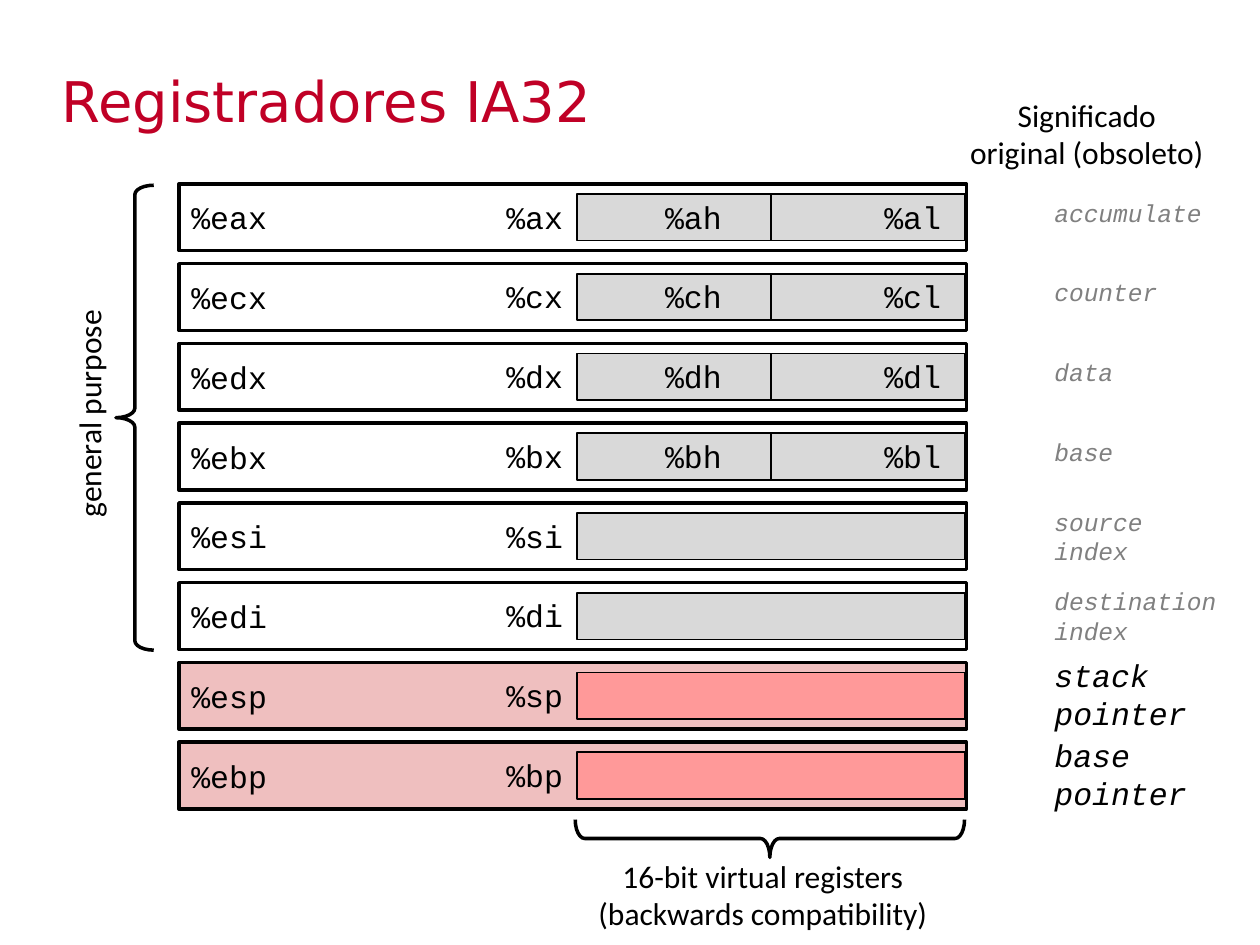
from dataclasses import dataclass

from lxml import etree
from pptx import Presentation
from pptx.dml.color import RGBColor
from pptx.enum.shapes import MSO_CONNECTOR, MSO_SHAPE
from pptx.enum.text import MSO_ANCHOR, MSO_AUTO_SIZE, PP_ALIGN
from pptx.oxml.ns import qn
from pptx.util import Inches, Pt

RECTANGLE = MSO_SHAPE.RECTANGLE
BRACE = MSO_SHAPE.RIGHT_BRACE
STRAIGHT = MSO_CONNECTOR.STRAIGHT
TOP, MIDDLE = MSO_ANCHOR.TOP, MSO_ANCHOR.MIDDLE
LEFT, CENTER = PP_ALIGN.LEFT, PP_ALIGN.CENTER
NO_FIT = MSO_AUTO_SIZE.NONE


@dataclass(frozen=True)
class Theme:
    red: str = "C00026"
    black: str = "000000"
    white: str = "FFFFFF"
    grey: str = "808080"
    light_grey: str = "D9D9D9"
    pink: str = "EFBFBF"
    salmon: str = "FF9999"
    title_font: str = "DejaVu Sans"
    label_font: str = "Calibri"
    code_font: str = "Courier New"
    title_size: int = 32
    body_size: int = 18
    small_size: int = 14
    thick: int = 2
    thin: int = 1


THEME = Theme()
ROW_TOP = 1.46
ROW_PITCH = 0.633
ROW_HEIGHT = 0.53
WORD_LEFT = 4.58
WORD_WIDTH = 3.08
WORD_HEIGHT = 0.37
MEANING_OFFSETS = {
    (THEME.small_size, 1): (0.06, 0.33),
    (THEME.small_size, 2): (-0.02, 0.56),
    (THEME.body_size, 2): (-0.1, 0.7),
}

REGISTERS = [
    ("%eax", "%ax", ("%ah", "%al"), ["accumulate"]),
    ("%ecx", "%cx", ("%ch", "%cl"), ["counter"]),
    ("%edx", "%dx", ("%dh", "%dl"), ["data"]),
    ("%ebx", "%bx", ("%bh", "%bl"), ["base"]),
    ("%esi", "%si", (), ["source", "index"]),
    ("%edi", "%di", (), ["destination", "index"]),
    ("%esp", "%sp", (), ["stack", "pointer"]),
    ("%ebp", "%bp", (), ["base", "pointer"]),
]
POINTERS = {"%esp", "%ebp"}


def write_lines(frame, lines, font, size=THEME.body_size, color=THEME.black,
                align=LEFT, italic=False, anchor=TOP):
    frame.word_wrap = True
    frame.auto_size = NO_FIT
    frame.vertical_anchor = anchor
    for index, line in enumerate(lines):
        para = frame.add_paragraph() if index else frame.paragraphs[0]
        para.text = line
        para.alignment = align
        para.font.name = font
        para.font.size = Pt(size)
        para.font.italic = italic
        para.font.color.rgb = RGBColor.from_string(color)


def add_title(page, text):
    title = page.shapes.title
    title.left, title.top = Inches(0.39), Inches(0.48)
    title.width, title.height = Inches(8.3), Inches(0.83)
    write_lines(title.text_frame, [text], THEME.title_font,
                THEME.title_size, THEME.red)


def add_label(page, place, lines, font=THEME.label_font, rotation=0, **style):
    box = page.shapes.add_textbox(*map(Inches, place))
    box.rotation = rotation
    write_lines(box.text_frame, lines, font, **style)


def style_line(line, weight):
    line.color.rgb = RGBColor.from_string(THEME.black)
    line.width = Pt(weight)


def add_bar(page, place, fill, weight):
    bar = page.shapes.add_shape(RECTANGLE, *map(Inches, place))
    bar.shadow.inherit = False
    bar.fill.solid()
    bar.fill.fore_color.rgb = RGBColor.from_string(fill)
    style_line(bar.line, weight)
    return bar


def add_divider(page, bar):
    middle = bar.left + bar.width // 2
    divider = page.shapes.add_connector(
        STRAIGHT, middle, bar.top, middle, bar.top + bar.height)
    divider.begin_connect(bar, 0)
    divider.end_connect(bar, 2)
    style_line(divider.line, THEME.thin)
    etree.SubElement(divider.element.spPr, qn("a:effectLst"))


def add_brace(page, place, rotation):
    brace = page.shapes.add_shape(BRACE, *map(Inches, place))
    brace.shadow.inherit = False
    brace.rotation = rotation
    brace.adjustments[0] = 0.25
    brace.adjustments[1] = 0.5
    brace.fill.background()
    style_line(brace.line, THEME.thick)


def add_register(page, top, name, word, halves, meaning):
    special = name in POINTERS
    bar = add_bar(page, (1.42, top, 6.25, ROW_HEIGHT),
                  THEME.pink if special else THEME.white, THEME.thick)
    write_lines(bar.text_frame, [name], THEME.code_font, anchor=MIDDLE)
    inner = add_bar(page, (WORD_LEFT, top + 0.08, WORD_WIDTH, WORD_HEIGHT),
                    THEME.salmon if special else THEME.light_grey, THEME.thin)
    if halves:
        add_divider(page, inner)
    for left, text in zip((3.92, 5.18, 6.92), (word, *halves)):
        add_label(page, (left, top + 0.06, 0.75, 0.4), [text], THEME.code_font)

    size = THEME.body_size if special else THEME.small_size
    offset, height = MEANING_OFFSETS[size, len(meaning)]
    add_label(page, (8.27, top + offset, 1.96, height), meaning,
              THEME.code_font, size=size, italic=True,
              color=THEME.black if special else THEME.grey)


def main():
    deck = Presentation()
    deck.slide_width, deck.slide_height = Inches(10), Inches(7.5)
    page = deck.slides.add_slide(deck.slide_layouts[5])
    add_title(page, "Registradores IA32")
    for index, register in enumerate(REGISTERS):
        add_register(page, ROW_TOP + index * ROW_PITCH, *register)

    add_brace(page, (5.96, 5.11, 0.3, 3.09), 90)
    add_label(page, (4.58, 6.75, 2.95, 0.7),
              ["16-bit virtual registers", "(backwards compatibility)"],
              align=CENTER)
    add_brace(page, (0.92, 1.47, 0.3, 3.69), 180)
    add_label(page, (-0.47, 2.83, 2.35, 0.4), ["general purpose"], rotation=270)
    add_label(page, (7.29, 0.71, 2.67, 0.7),
              ["Significado", "original (obsoleto)"], align=CENTER)
    deck.save("out.pptx")


if __name__ == "__main__":
    main()
